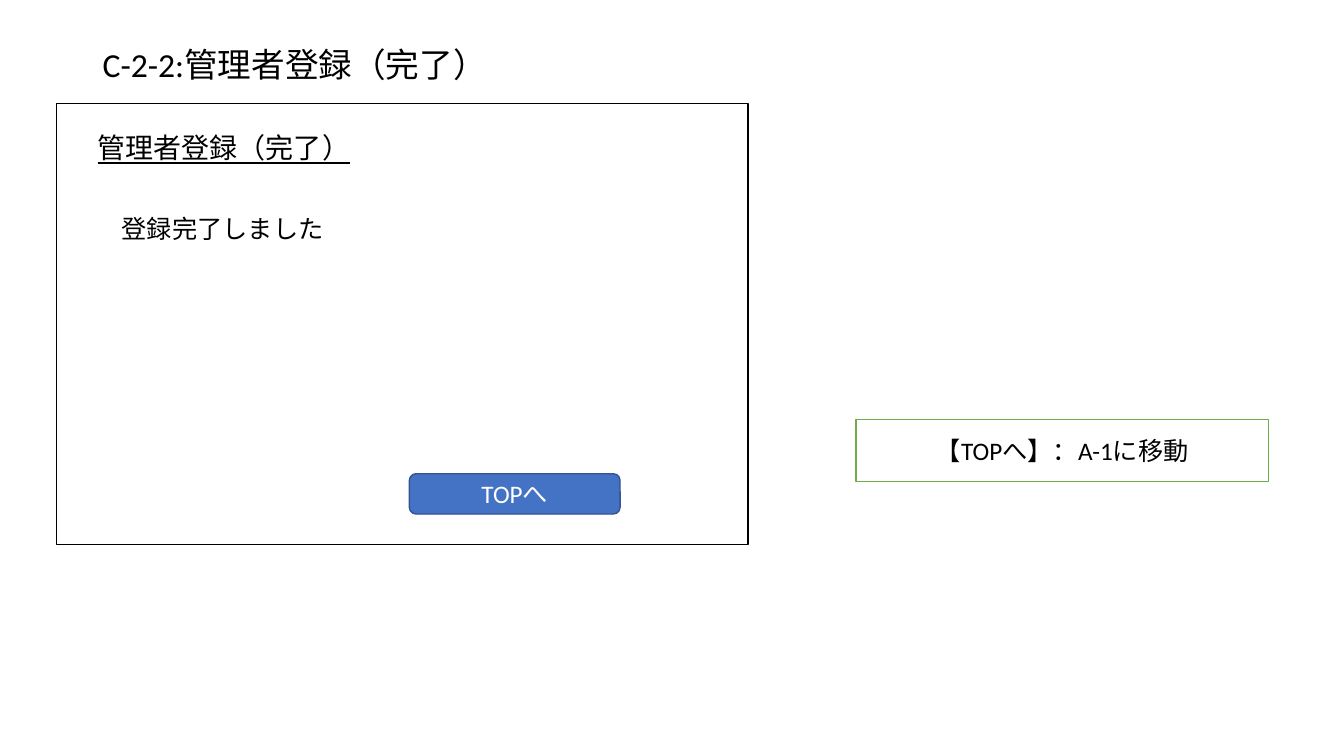
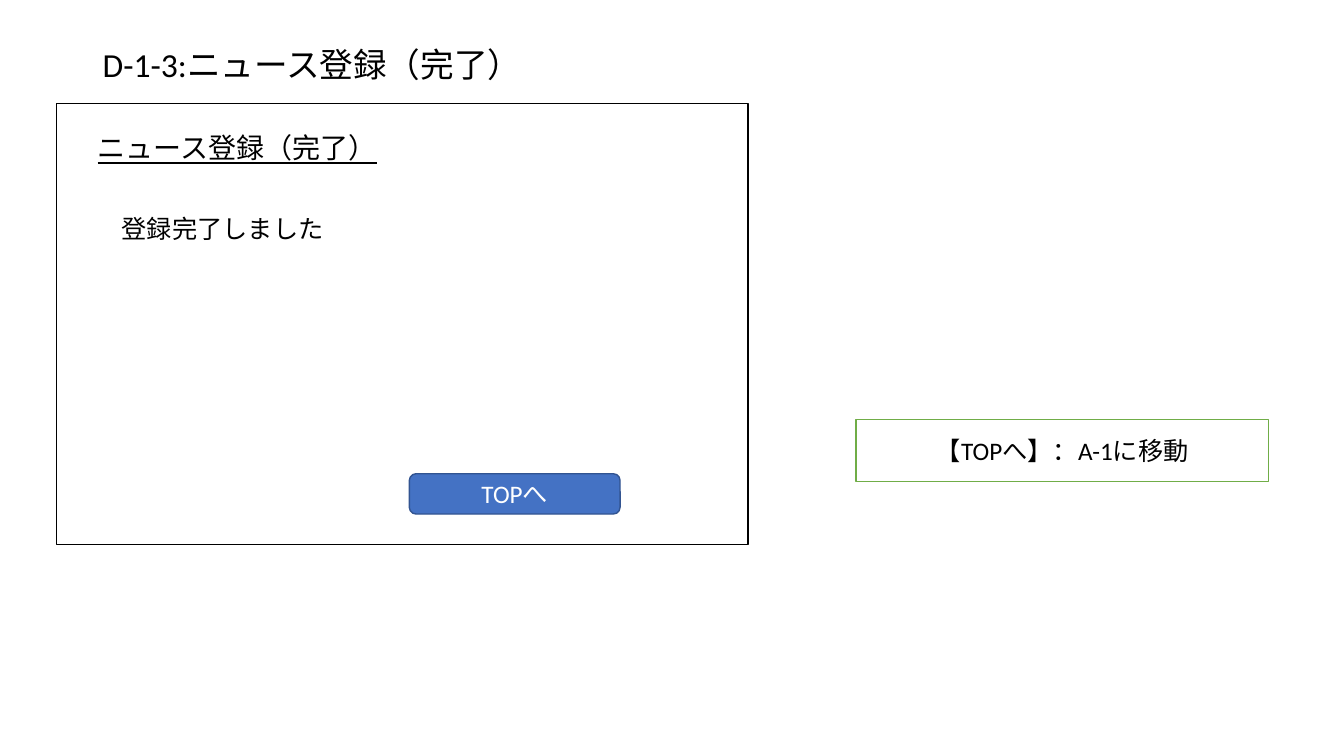
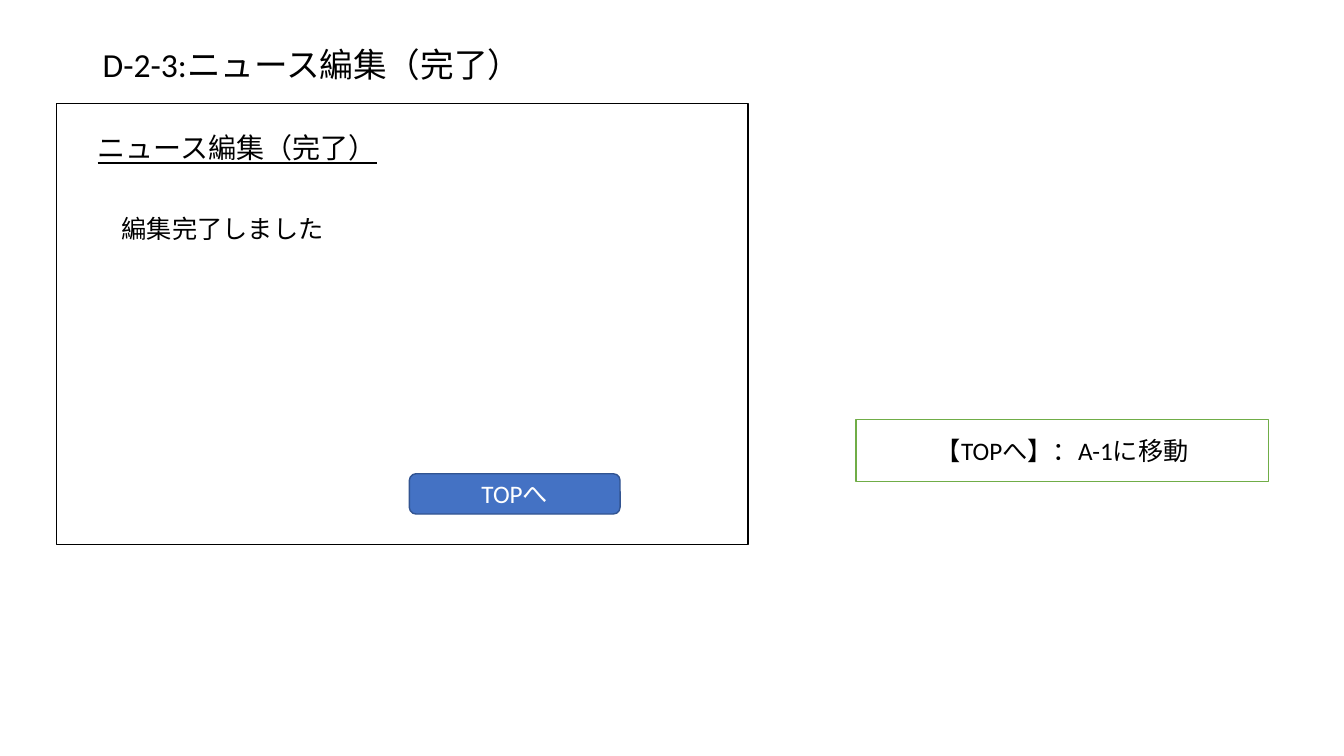
import pptx
import pptx.util
import pptx.dml.color
import pptx.enum.shapes
import pptx.enum.text

Inches = pptx.util.Inches
Shape = pptx.enum.shapes.MSO_SHAPE
Align = pptx.enum.text.PP_ALIGN
Anchor = pptx.enum.text.MSO_ANCHOR
Fit = pptx.enum.text.MSO_AUTO_SIZE

FONT = "Calibri"
COLORS = {
    "ink": "000000",
    "paper": "FFFFFF",
    "blue": "4472C4",
    "navy": "325491",
    "green": "70AD47",
}
TITLE = (0.92, 0.4, 11.49, 0.52)
PANEL = (0.56, 1.03, 6.86, 4.37)
NOTE = (8.49, 4.16, 4.09, 0.62)
PAGES = [
    ("C-2-2", "管理者登録（完了）", "登録完了しました"),
    ("D-1-3", "ニュース登録（完了）", "登録完了しました"),
    ("D-2-3", "ニュース編集（完了）", "編集完了しました"),
]


def color(name):
    return pptx.dml.color.RGBColor.from_string(COLORS[name])


def write(shape, text, size, ink="ink", align=Align.LEFT, under=None):
    frame = shape.text_frame
    frame.word_wrap = True
    frame.text = text
    para = frame.paragraphs[0]
    para.alignment = align
    for run in para.runs:
        font = run.font
        font.name = FONT
        font.size = pptx.util.Pt(size)
        font.color.rgb = color(ink)
        font.underline = under
    return frame


def add_text(slide, box, text, size, under=None):
    shape = slide.shapes.add_textbox(*map(Inches, box))
    return write(shape, text, size, under=under)


def add_box(slide, kind, box, fill, line):
    shape = slide.shapes.add_shape(kind, *map(Inches, box))
    shape.shadow.inherit = False
    shape.fill.solid()
    shape.fill.fore_color.rgb = color(fill)
    shape.line.color.rgb = color(line)
    shape.line.width = pptx.util.Pt(1)
    return shape


def add_label(slide, kind, box, fill, line, text, ink):
    shape = add_box(slide, kind, box, fill, line)
    frame = write(shape, text, 18, ink, Align.CENTER)
    frame.vertical_anchor = Anchor.MIDDLE


def add_title(slide, box, text):
    frame = add_text(slide, box, text, 24)
    frame.vertical_anchor = Anchor.MIDDLE
    frame.paragraphs[0].line_spacing = 0.9


def add_panel(slide, box, head, message):
    left, top = box[:2]
    add_box(slide, Shape.RECTANGLE, box, "paper", "ink")
    frames = [
        add_text(slide, (left + 0.31, top + 0.22, 3, 0.44), head, 20, True),
        add_text(slide, (left + 0.55, top + 1.04, 3.66, 0.4), message, 18),
    ]
    for frame in frames:
        frame.auto_size = Fit.SHAPE_TO_FIT_TEXT
    button = (left + 3.5, top + 3.67, 2.09, 0.4)
    add_label(slide, Shape.ROUNDED_RECTANGLE, button, "blue", "navy", "TOPへ", "paper")


def add_note(slide, box):
    add_label(slide, Shape.RECTANGLE, box, "paper", "green", "【TOPへ】：A-1に移動", "ink")


def add_page(deck, code, head, message):
    slide = deck.slides.add_slide(deck.slide_layouts[6])
    add_title(slide, TITLE, f"{code}:{head}")
    add_panel(slide, PANEL, head, message)
    add_note(slide, NOTE)


def main():
    deck = pptx.Presentation()
    deck.slide_width = Inches(13.33)
    deck.slide_height = Inches(7.5)
    for page in PAGES:
        add_page(deck, *page)
    deck.save("out.pptx")


if __name__ == "__main__":
    main()
